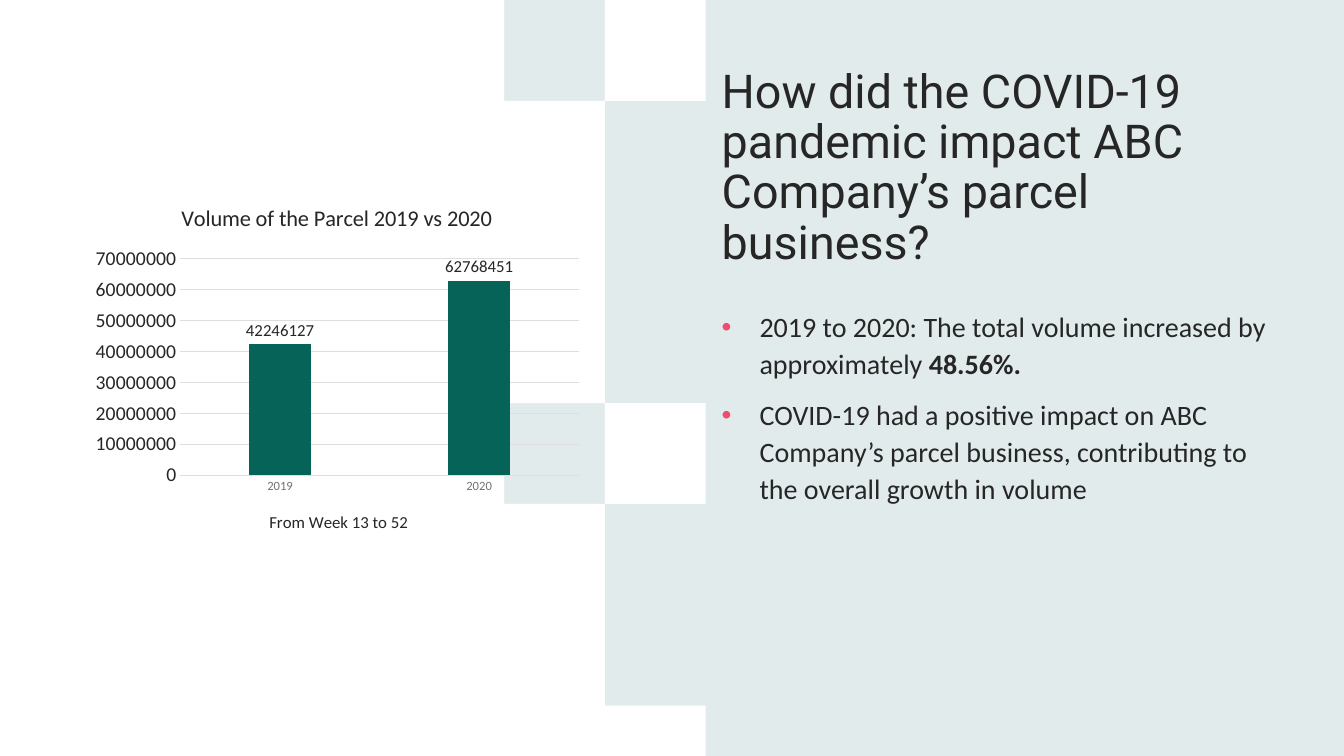
import math

from lxml import etree
from pptx import Presentation, util as u
from pptx.chart.data import CategoryChartData
from pptx.dml.color import RGBColor
from pptx.enum import chart as ch, shapes, text
from pptx.oxml import ns

MINT = RGBColor(0xE9, 0xF3, 0xF3)
GREY = RGBColor(0xAE, 0xAE, 0xAE)
WHITE = RGBColor(0xFF, 0xFF, 0xFF)
INK = RGBColor(0x26, 0x26, 0x26)
LABEL = RGBColor(0x72, 0x72, 0x72)
RULE = RGBColor(0xDE, 0xDE, 0xDE)
GREEN = RGBColor(0x05, 0x64, 0x57)
PINK = RGBColor(0xEC, 0x4E, 0x70)

W, H = 13.33, 7.5
STEPS = 16
WAVE_START = (5.29, 0)
WAVE = [  # control, control, end point of each curve
    ((5.28, 0.15), (5.27, 0.31), (5.29, 0.46)),
    ((5.3, 0.78), (5.55, 0.97), (5.78, 1.17)),
    ((6.34, 1.65), (6.53, 2.22), (6.27, 2.83)),
    ((6.16, 3.07), (5.96, 3.27), (5.78, 3.46)),
    ((5.28, 3.96), (5.3, 4.54), (5.6, 5.08)),
    ((5.82, 5.45), (6.09, 5.81), (6.27, 6.2)),
    ((6.46, 6.58), (6.56, 6.96), (6.59, 7.34)),
]
DROPS = [(6.44, 0.11, 0.49), (6.26, 4.43, 0.56)]  # centre x, centre y, radius


def bezier(*pts):
    """Points along a cubic curve, without its start."""
    for i in range(1, STEPS + 1):
        t = i / STEPS
        weights = ((1 - t) ** 3, 3 * t * (1 - t) ** 2, 3 * t * t * (1 - t), t ** 3)
        yield tuple(sum(k * p[a] for k, p in zip(weights, pts)) for a in (0, 1))


def circle(cx, cy, r):
    """Points of a circle, cut off at the top edge of the slide."""
    for i in range(4 * STEPS):
        a = math.tau * i / (4 * STEPS)
        yield cx + r * math.cos(a), max(0, cy + r * math.sin(a))


def paint(sp, colour):
    sp.fill.solid()
    sp.fill.fore_color.rgb = colour
    sp.line.fill.background()
    sp.shadow.inherit = False


def add_backdrop(s):
    s.background.fill.solid()
    s.background.fill.fore_color.rgb = MINT
    wash = s.shapes.add_shape(shapes.MSO_SHAPE.RECTANGLE, 0, 0, u.Inches(W), u.Inches(H))
    paint(wash, GREY)
    colour = wash._element.spPr.find(".//" + ns.qn("a:srgbClr"))
    etree.SubElement(colour, ns.qn("a:alpha"), val="10000")

    edge = [WAVE_START]
    for curve in WAVE:
        edge += bezier(edge[-1], *curve)
    edge += [(6.59, H), (0, H), (0, 0)]
    outline = s.shapes.build_freeform(*edge[0], scale=u.Inches(1))
    outline.add_line_segments(edge[1:])
    for drop in DROPS:
        pts = list(circle(*drop))
        outline.move_to(*pts[0])
        outline.add_line_segments(pts[1:])
    paint(outline.convert_to_shape(), WHITE)


def set_font(font, size, colour=INK, name="Calibri", bold=False):
    font.size, font.name, font.bold = u.Pt(size), name, bold
    font.color.rgb = colour


def add_text(s, box, paragraphs, size, name, spacing, anchor, bullet=False):
    """Each paragraph is a list of (words, bold) runs."""
    tf = s.shapes.add_textbox(*map(u.Inches, box)).text_frame
    tf.word_wrap, tf.vertical_anchor = True, anchor
    for i, runs in enumerate(paragraphs):
        p = tf.add_paragraph() if i else tf.paragraphs[0]
        p.line_spacing = spacing
        if bullet:
            p.space_before = u.Pt(10)
            add_bullet(p)
        for words, bold in runs:
            r = p.add_run()
            r.text = words
            set_font(r.font, size, name=name, bold=bold)


def add_bullet(p):
    pPr = p._p.get_or_add_pPr()
    indent = u.Inches(0.375)
    pPr.set("marL", str(indent))
    pPr.set("indent", str(-indent))
    colour = etree.SubElement(pPr, ns.qn("a:buClr"))
    etree.SubElement(colour, ns.qn("a:srgbClr"), val=str(PINK))
    etree.SubElement(pPr, ns.qn("a:buFont"), typeface="Arial")
    etree.SubElement(pPr, ns.qn("a:buChar"), char="•")


def place(parent, index, **shares):
    """Fix a chart part at shares of the chart's size."""
    for old in parent.findall(ns.qn("c:layout")):
        parent.remove(old)
    layout = etree.Element(ns.qn("c:layout"))
    parent.insert(index, layout)
    manual = etree.SubElement(layout, ns.qn("c:manualLayout"))
    if "w" in shares:
        etree.SubElement(manual, ns.qn("c:layoutTarget"), val="inner")
    for side in "xy":
        etree.SubElement(manual, ns.qn(f"c:{side}Mode"), val="edge")
    for side, share in shares.items():
        etree.SubElement(manual, ns.qn("c:" + side), val=str(share))


def add_title(owner, words, size):
    tf = owner.text_frame
    r = tf.paragraphs[0].add_run()
    r.text = words
    set_font(r.font, size)


def add_volume_chart(s, box):
    name = "Volume of the Parcel 2019 vs 2020"
    data = CategoryChartData()
    data.categories = ["2019", "2020"]
    data.add_series(name, [42246127, 62768451])
    kind = ch.XL_CHART_TYPE.COLUMN_CLUSTERED
    chart = s.shapes.add_chart(kind, *map(u.Inches, box), data).chart
    set_font(chart.font, 10)
    chart.has_legend = False
    add_title(chart.chart_title, name, 16)
    chart.chart_title.include_in_layout = False

    years, volume = chart.category_axis, chart.value_axis
    for axis, size, colour in ((years, 9, LABEL), (volume, 14, INK)):
        axis.major_tick_mark = axis.minor_tick_mark = ch.XL_TICK_MARK.NONE
        set_font(axis.tick_labels.font, size, colour)
    volume.format.line.fill.background()
    volume.minimum_scale, volume.maximum_scale = 0, 70000000
    volume.major_unit = 10000000
    for line in (years.format.line, volume.major_gridlines.format.line):
        line.color.rgb, line.width = RULE, u.Pt(0.75)
    add_title(years.axis_title, "From Week 13 to 52", 12)
    place(years.axis_title._element, 1, x=0.36, y=0.89)

    plot = chart.plots[0]
    plot.gap_width, plot.overlap, plot.vary_by_categories = 219, -27, False
    plot.series[0].format.fill.solid()
    plot.series[0].format.fill.fore_color.rgb = GREEN
    labels = plot.series[0].data_labels
    labels.show_value, labels.position = True, ch.XL_LABEL_POSITION.OUTSIDE_END
    set_font(labels.font, 12)
    place(chart._chartSpace.chart.plotArea, 0, x=0.19, y=0.2, w=0.79, h=0.6)


def main():
    prs = Presentation()
    prs.slide_width, prs.slide_height = u.Inches(W), u.Inches(H)
    s = prs.slides.add_slide(prs.slide_layouts[6])
    add_backdrop(s)
    add_text(s, (7.06, 0.6, 5.61, 2.12),
             [[("How did the COVID-19 pandemic impact ABC Company’s parcel business?", False)]],
             33.3, "Roboto", 0.9, text.MSO_ANCHOR.BOTTOM)
    add_text(s, (7.06, 2.99, 5.61, 3.05),
             [[("2019 to 2020: The total volume increased by approximately ", False),
               ("48.56%.", True)],
              [("COVID-19 had a positive impact on ABC Company’s parcel business, "
                "contributing to the overall growth in volume", False)]],
             20, "Calibri", 1.1, text.MSO_ANCHOR.TOP, bullet=True)
    add_volume_chart(s, (0.84, 1.85, 5, 3.58))
    prs.save("out.pptx")


if __name__ == "__main__":
    main()
